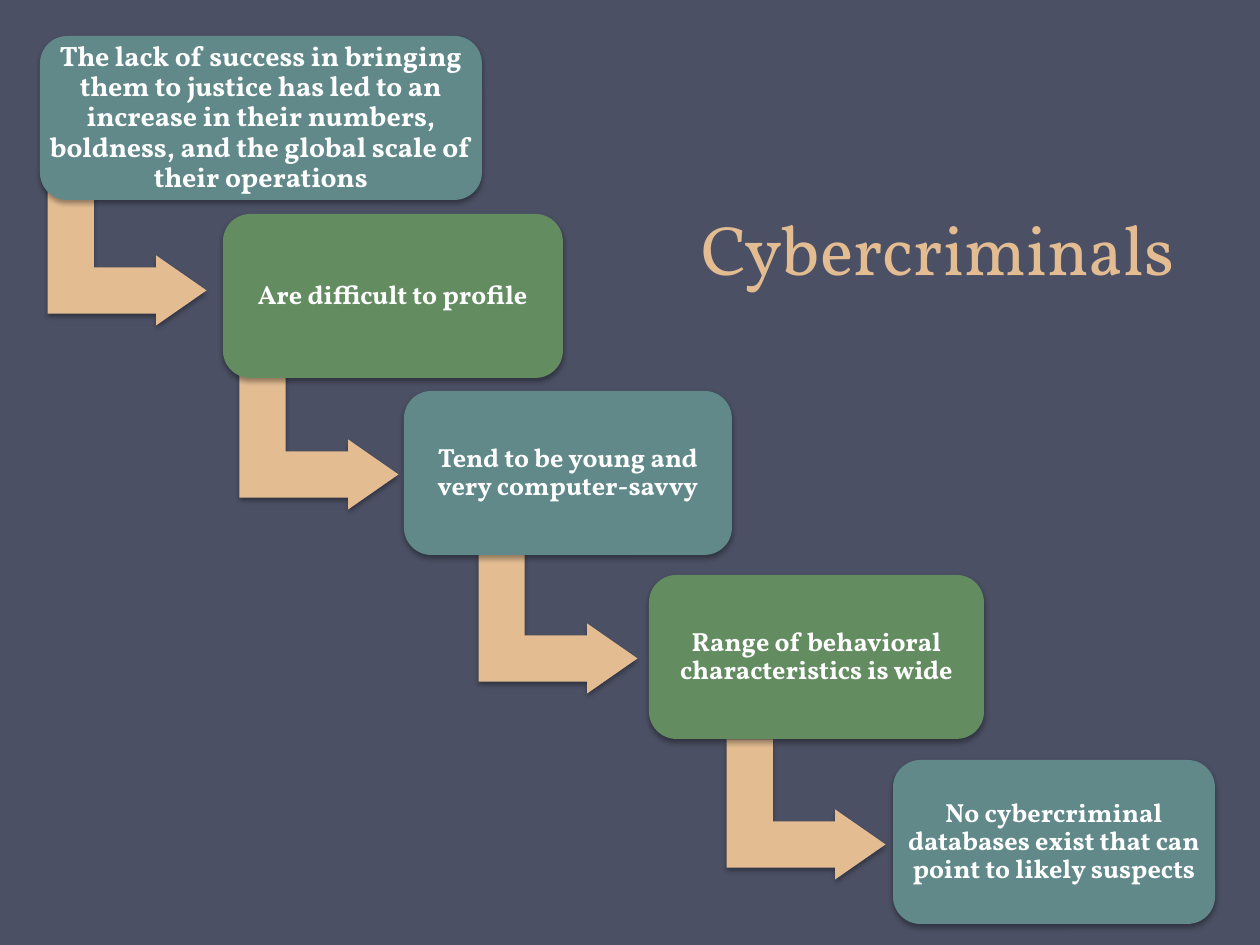
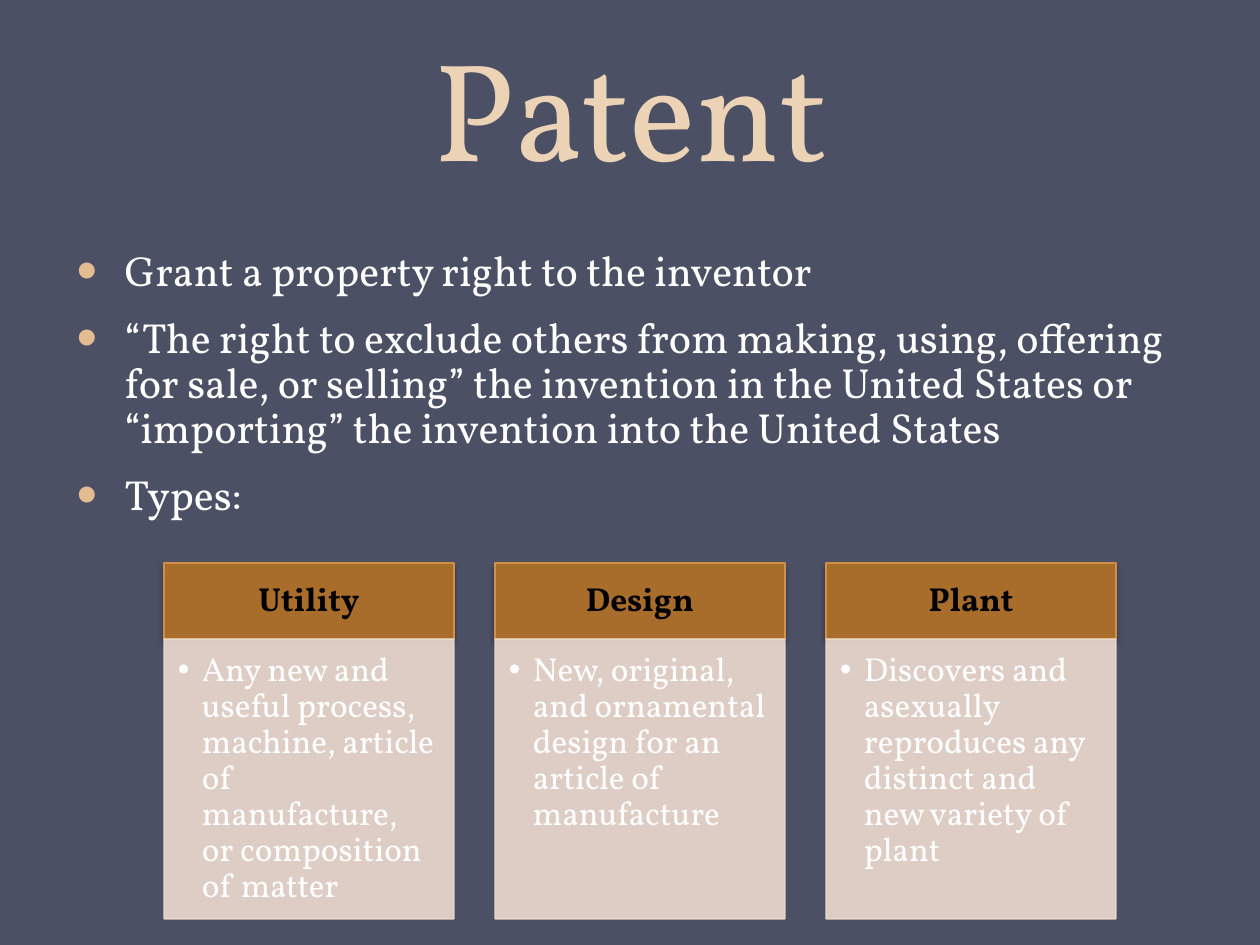
from dataclasses import dataclass

from lxml import etree
from pptx import Presentation
from pptx.dml.color import RGBColor
from pptx.enum.shapes import MSO_SHAPE
from pptx.enum.text import MSO_ANCHOR, MSO_AUTO_SIZE, PP_ALIGN
from pptx.oxml.ns import qn
from pptx.util import Inches, Pt

RECT, ROUND, BENT = MSO_SHAPE.RECTANGLE, MSO_SHAPE.ROUNDED_RECTANGLE, MSO_SHAPE.BENT_UP_ARROW
TOP, MID, LOW = MSO_ANCHOR.TOP, MSO_ANCHOR.MIDDLE, MSO_ANCHOR.BOTTOM
LEFT, MIDDLE = PP_ALIGN.LEFT, PP_ALIGN.CENTER
FIXED = MSO_AUTO_SIZE.NONE
SCALE = 914400 / 126


@dataclass(frozen=True)
class Theme:
    """Colours, font and type sizes of the deck."""
    font: str = "Vollkorn"
    back: str = "4B5064"
    sand: str = "E3BC92"
    cream: str = "EDD3B6"
    teal: str = "61898A"
    green: str = "648C61"
    brown: str = "A96D2B"
    edge: str = "D19049"
    pale: str = "EEDBD0"
    white: str = "FFFFFF"
    black: str = "000000"
    title: int = 40
    hero: int = 80
    body: int = 24
    card: int = 19
    lead: int = 16
    step: int = 15


THEME = Theme()

STEPS = [
    ((40, 36, 442), "The lack of success in bringing them to justice has led to an "
     "increase in their numbers, boldness, and the global scale of their operations"),
    ((223, 214, 340), "Are difficult to profile"),
    ((404, 391, 328), "Tend to be young and very computer-savvy"),
    ((649, 575, 335), "Range of behavioral characteristics is wide"),
    ((893, 760, 322), "No cybercriminal databases exist that can point to likely suspects"),
]
BENDS = [(57, 176), (249, 360), (488, 544), (736, 730)]

RIGHTS = [
    "Grant a property right to the inventor",
    "“The right to exclude others from making, using, offering for sale, or selling” "
    "the invention in the United States or “importing” the invention into the United States",
    "Types:",
]
KINDS = [
    ("Utility", "Any new and useful process, machine, article of manufacture, "
     "or composition of matter"),
    ("Design", "New, original, and ornamental design for an article of manufacture"),
    ("Plant", "Discovers and asexually reproduces any distinct and new variety of plant"),
]


def px(num):
    """Turn pixels into EMU."""
    return round(num * SCALE)


def rgb(code):
    """Turn a hex code into a colour."""
    return RGBColor.from_string(code)


def node(root, tag, **attrs):
    """Append a drawing element to its parent."""
    return etree.SubElement(root, qn(tag), {key: str(val) for key, val in attrs.items()})


def place(shape, box):
    """Move a shape to a box given in pixels."""
    shape.left, shape.top, shape.width, shape.height = map(px, box)


def frame(shape, anchor, pads=None):
    """Set anchor, wrap and insets, and give back the text frame."""
    text = shape.text_frame
    text.word_wrap, text.auto_size, text.vertical_anchor = True, FIXED, anchor
    if pads:
        (text.margin_left, text.margin_top,
         text.margin_right, text.margin_bottom) = map(px, pads)
    return text


def style(para, size, color, align=LEFT, bold=False, space=0.9):
    """Format one paragraph and its runs."""
    para.alignment, para.line_spacing = align, space
    para.space_before = para.space_after = Pt(0)
    for run in para.runs:
        font = run.font
        font.name, font.size, font.bold = THEME.font, Pt(size), bold
        font.color.rgb = rgb(color)


def bullet(para, hang, color, scale=100):
    """Give a paragraph a round bullet with a hanging indent."""
    prop = para._p.get_or_add_pPr()
    prop.set("marL", str(px(hang)))
    prop.set("indent", str(-px(hang)))
    node(node(prop, "a:buClr"), "a:srgbClr", val=color)
    node(prop, "a:buSzPct", val=scale * 1000)
    node(prop, "a:buFont", typeface="Arial")
    node(prop, "a:buChar", char="•")


def block(slide, kind, box, fill, line=None, shade=True):
    """Draw a filled shape, with a soft shadow if wanted."""
    shape = slide.shapes.add_shape(kind, *map(px, box))
    shape.fill.solid()
    shape.fill.fore_color.rgb = rgb(fill)
    if line:
        shape.line.color.rgb = rgb(line)
        shape.line.width = Pt(0.75)
    else:
        shape.line.fill.background()
    shape.shadow.inherit = False
    if shade:
        glow = node(shape._element.spPr.find(qn("a:effectLst")), "a:outerShdw",
                    blurRad=Pt(3.1), dist=Pt(1.8), dir=5400000, rotWithShape=0)
        node(node(glow, "a:srgbClr", val=THEME.black), "a:alpha", val=35000)
    return shape


def label(shape, words, size, color, pads):
    """Centre bold words in a shape."""
    text = frame(shape, MID, pads)
    text.text = words
    style(text.paragraphs[0], size, color, MIDDLE, True)


def head(slide, words, box, size, color):
    """Fill and place the slide title."""
    title = slide.shapes.title
    place(title, box)
    text = frame(title, LOW)
    text.text = words
    style(text.paragraphs[0], size, color, MIDDLE, space=Pt(58))


def points(shape, box, items):
    """Fill the body placeholder with a bullet list."""
    place(shape, box)
    text = frame(shape, TOP)
    text.text = "\n".join(items)
    for spot, para in enumerate(text.paragraphs):
        bullet(para, 48, THEME.sand, 140)
        style(para, THEME.body, THEME.white)
        if spot:
            para.space_before = Pt(12.2)


def bend(slide, left, top):
    """Draw an arrow that drops and turns right."""
    arrow = block(slide, BENT, (left, top, 140, 159), THEME.sand)
    arrow.rotation = 90
    for spot, part in enumerate((0.33, 0.25, 0.36)):
        arrow.adjustments[spot] = part


def card(slide, left, name, note):
    """Draw a headed card with one bullet."""
    top = block(slide, RECT, (left, 563, 290, 76), THEME.brown, THEME.edge)
    label(top, name, THEME.card, THEME.black, (19, 10, 19, 10))
    base = block(slide, RECT, (left, 639, 290, 280), THEME.pale, THEME.pale, False)
    for tint in base._element.spPr.iter(qn("a:srgbClr")):
        node(tint, "a:alpha", val=90000)
    text = frame(base, TOP, (14, 14, 19, 21))
    text.text = note
    para = text.paragraphs[0]
    bullet(para, 24, THEME.white)
    style(para, THEME.card, THEME.white)


def crime(deck):
    """Build the staircase of cybercriminal traits."""
    slide = deck.slides.add_slide(deck.slide_layouts[5])
    head(slide, "Cybercriminals", (679, 76, 518, 220), THEME.title, THEME.sand)
    for spot, ((left, top, width), words) in enumerate(STEPS):
        if spot < len(BENDS):
            bend(slide, *BENDS[spot])
        fill = THEME.green if spot % 2 else THEME.teal
        box = block(slide, ROUND, (left, top, width, 164), fill)
        size = THEME.step if spot else THEME.lead
        label(box, words, size, THEME.white, (0, 0, 0, 0))


def patent(deck):
    """Build the patent list and its three cards."""
    slide = deck.slides.add_slide(deck.slide_layouts[1])
    head(slide, "Patent", (64, -24, 1134, 220), THEME.hero, THEME.cream)
    points(slide.placeholders[1], (64, 244, 1155, 358), RIGHTS)
    for spot, (name, note) in enumerate(KINDS):
        card(slide, 164 + 331 * spot, name, note)


def main():
    """Build and save the deck."""
    deck = Presentation()
    deck.slide_width, deck.slide_height = Inches(10), Inches(7.5)
    back = deck.slide_master.background.fill
    back.solid()
    back.fore_color.rgb = rgb(THEME.back)
    crime(deck)
    patent(deck)
    deck.save("out.pptx")


if __name__ == "__main__":
    main()
